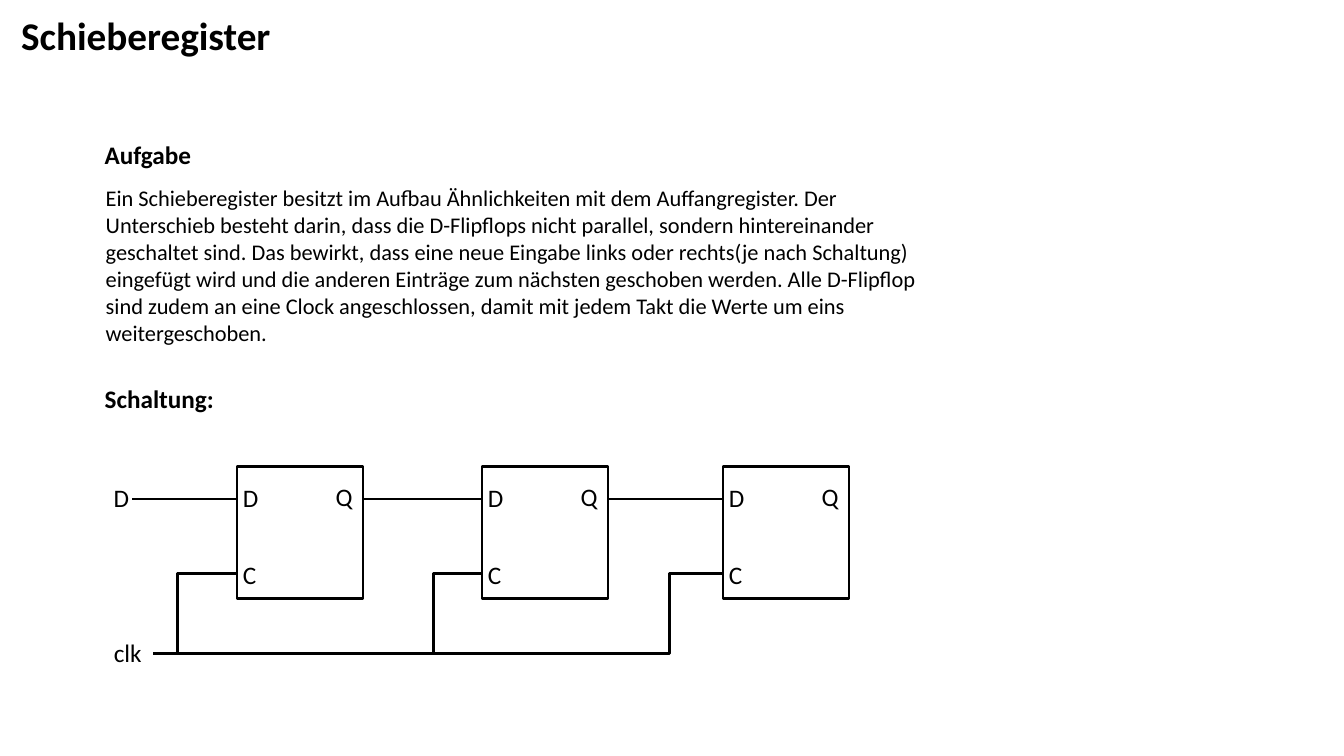
from pptx import Presentation
from pptx import util as u
from pptx.dml.color import RGBColor
from pptx.enum import shapes, text
from pptx.oxml.ns import qn
from lxml import etree

COLORS = {"ink": "000000", "paper": "FFFFFF"}
FONT = "Calibri"
PX = u.Inches(1) // 100
SLIDE_W, SLIDE_H = 1333, 750

TITLE = ("Schieberegister", 11, 6, 270, 57)
HEADINGS = [("Aufgabe", 94, 133, 107, 40), ("Schaltung:", 94, 375, 129, 40)]
TASK = (
    "Ein Schieberegister besitzt im Aufbau Ähnlichkeiten mit dem Auffangregister. "
    "Der Unterschieb besteht darin, dass die D-Flipflops nicht parallel, sondern "
    "hintereinander geschaltet sind. Das bewirkt, dass eine neue Eingabe links oder "
    "rechts(je nach Schaltung) eingefügt wird und die anderen Einträge zum nächsten "
    "geschoben werden. Alle D-Flipflop sind zudem an eine Clock angeschlossen, damit "
    "mit jedem Takt die Werte um eins weitergeschoben.",
    95, 178, 858, 172)
INPUTS = [("D", 103, 474, 36, 40), ("clk", 103, 627, 48, 40)]

FLIPFLOP_LEFTS = [235, 478, 717]
FLIPFLOP_TOP, FLIPFLOP_W, FLIPFLOP_H = 463, 125, 131
PINS = [("D", -4, 11, 36, 40), ("C", -4, 87, 34, 40), ("Q", 88, 10, 37, 40)]

DATA_START, DATA_Y = 131, 495
CLOCK_START, CLOCK_Y, CLOCK_PIN_Y = 152, 648, 569
CLOCK_RISERS = [176, 430, 664]


def color(name):
    return RGBColor.from_string(COLORS[name])


def px(*lengths):
    return [length * PX for length in lengths]


def write(frame, words, size, bold=False, wrap=False):
    frame.text = words
    frame.word_wrap = wrap
    frame.auto_size = text.MSO_AUTO_SIZE.SHAPE_TO_FIT_TEXT
    frame.vertical_anchor = text.MSO_ANCHOR.TOP
    paragraph = frame.paragraphs[0]
    paragraph.alignment = text.PP_ALIGN.LEFT
    font = paragraph.runs[0].font
    font.name, font.size, font.bold = FONT, u.Pt(size), bold
    font.color.rgb = color("ink")


def add_label(parent, words, x, y, w, h, size=18, bold=False, wrap=False):
    label = parent.add_textbox(*px(x, y, w, h))
    write(label.text_frame, words, size, bold, wrap)


def ink_line(part):
    part.line.color.rgb = color("ink")
    part.line.width = u.Pt(2)


def add_flipflop(slide, left):
    flipflop = slide.shapes.add_group_shape().shapes
    box = flipflop.add_shape(shapes.MSO_SHAPE.RECTANGLE,
                             *px(left, FLIPFLOP_TOP, FLIPFLOP_W, FLIPFLOP_H))
    box.shadow.inherit = False
    box.fill.solid()
    box.fill.fore_color.rgb = color("paper")
    ink_line(box)
    for pin, dx, dy, w, h in PINS:
        add_label(flipflop, pin, left + dx, FLIPFLOP_TOP + dy, w, h)


def add_data_wire(slide, start, end):
    wire = slide.shapes.add_connector(shapes.MSO_CONNECTOR.STRAIGHT,
                                      *px(start, DATA_Y, end, DATA_Y))
    ink_line(wire)
    etree.SubElement(wire._element.spPr, qn("a:effectLst"))


def add_clock_wire(slide, riser, end):
    builder = slide.shapes.build_freeform(CLOCK_START, CLOCK_Y, scale=PX)
    builder.add_line_segments(
        [(riser, CLOCK_Y), (riser, CLOCK_PIN_Y), (end, CLOCK_PIN_Y)], close=False)
    wire = builder.convert_to_shape()
    wire.shadow.inherit = False
    wire.fill.background()
    ink_line(wire)


def main():
    prs = Presentation()
    prs.slide_width, prs.slide_height = px(SLIDE_W, SLIDE_H)
    slide = prs.slides.add_slide(prs.slide_layouts[5])

    words, *place = TITLE
    title = slide.shapes.title
    title.left, title.top, title.width, title.height = px(*place)
    write(title.text_frame, words, 28, bold=True)

    for heading in HEADINGS:
        add_label(slide.shapes, *heading, bold=True)
    add_label(slide.shapes, *TASK, size=16, wrap=True)

    for left in FLIPFLOP_LEFTS:
        add_flipflop(slide, left)
    for signal in INPUTS:
        add_label(slide.shapes, *signal)

    data_starts = [DATA_START] + [left + FLIPFLOP_W for left in FLIPFLOP_LEFTS[:-1]]
    for start, riser, left in zip(data_starts, CLOCK_RISERS, FLIPFLOP_LEFTS):
        add_data_wire(slide, start, left)
        add_clock_wire(slide, riser, left)

    prs.save("out.pptx")


if __name__ == "__main__":
    main()
